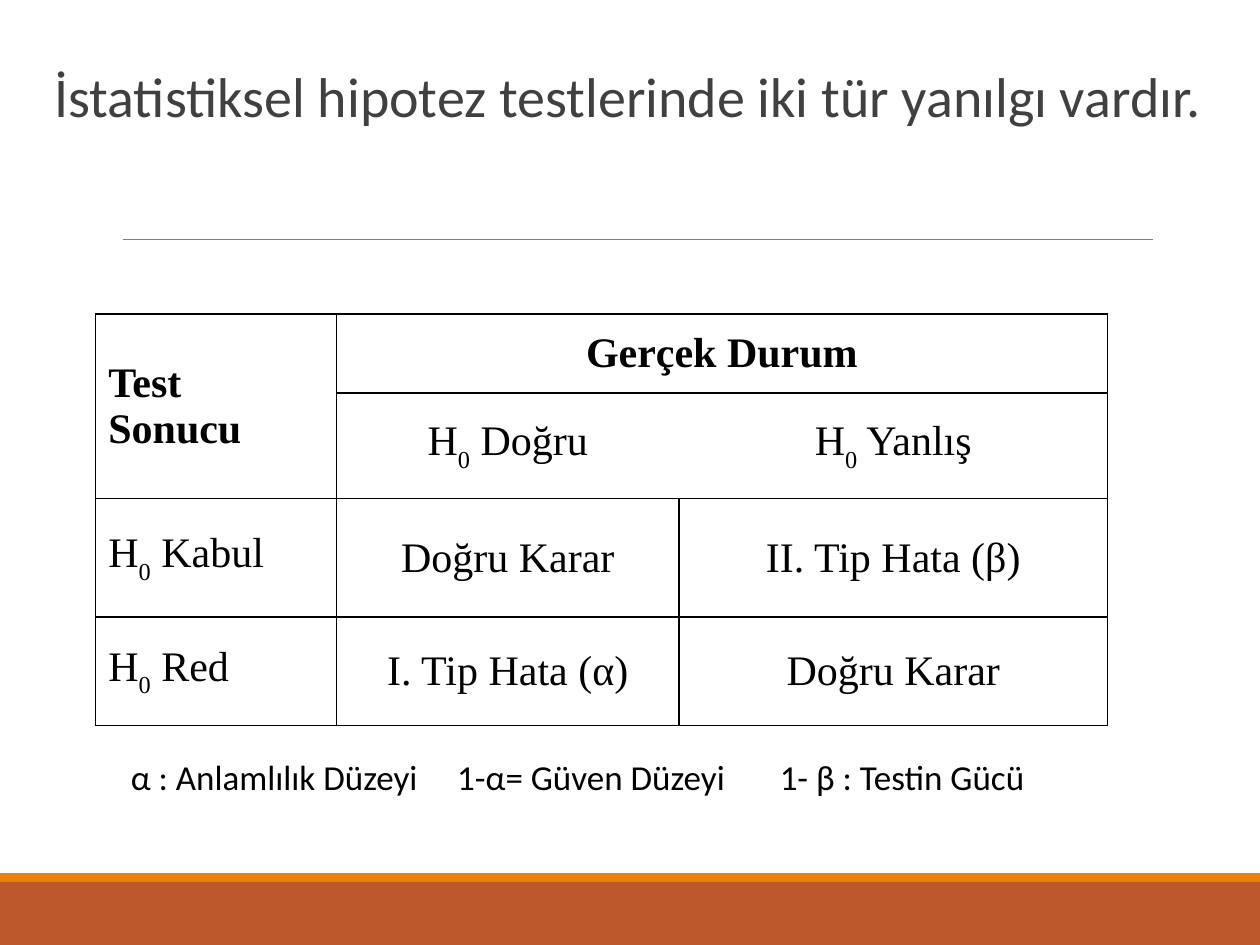
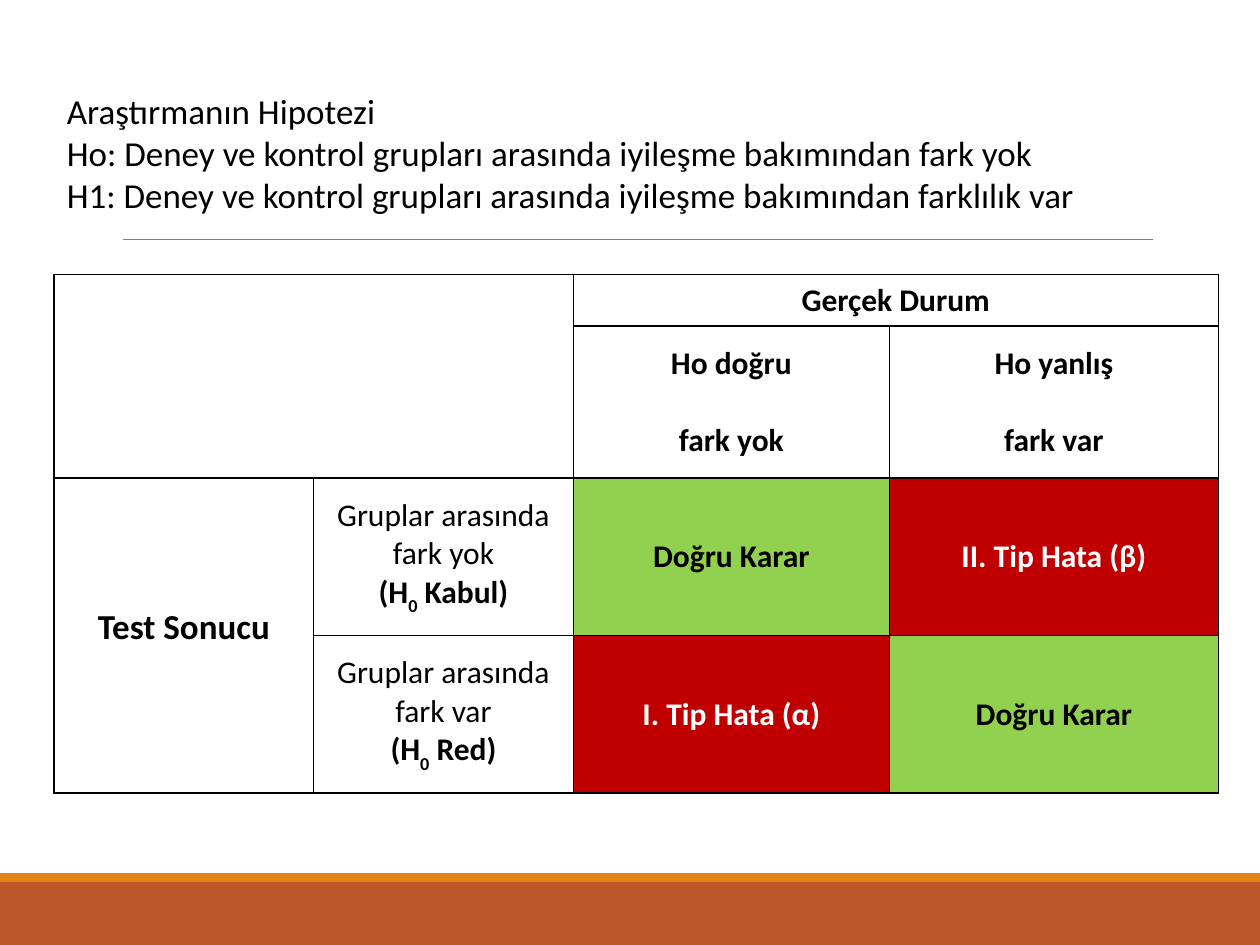
"""Build two slides on the two kinds of error in hypothesis testing."""
from dataclasses import dataclass

from lxml import etree
from pptx import Presentation
from pptx.dml.color import RGBColor
from pptx.enum.shapes import MSO_CONNECTOR, MSO_SHAPE
from pptx.enum.text import MSO_ANCHOR, MSO_AUTO_SIZE, PP_ALIGN
from pptx.oxml.ns import qn
from pptx.util import Inches, Pt

RECTANGLE = MSO_SHAPE.RECTANGLE
STRAIGHT = MSO_CONNECTOR.STRAIGHT
TOP, MIDDLE = MSO_ANCHOR.TOP, MSO_ANCHOR.MIDDLE
LEFT, CENTER, JUSTIFY = PP_ALIGN.LEFT, PP_ALIGN.CENTER, PP_ALIGN.JUSTIFY
NO_AUTOFIT = MSO_AUTO_SIZE.NONE


@dataclass(frozen=True)
class Theme:
    """Colours, fonts and type sizes of the deck."""
    band: RGBColor = RGBColor(0xBD, 0x58, 0x2C)
    stripe: RGBColor = RGBColor(0xE4, 0x83, 0x12)
    rule: RGBColor = RGBColor(0x80, 0x80, 0x80)
    heading: RGBColor = RGBColor(0x40, 0x40, 0x40)
    ink: RGBColor = RGBColor(0, 0, 0)
    white: RGBColor = RGBColor(0xFF, 0xFF, 0xFF)
    right: RGBColor = RGBColor(0x92, 0xD0, 0x50)
    wrong: RGBColor = RGBColor(0xC0, 0, 0)
    sans: str = "Calibri"
    serif: str = "Times New Roman"
    title_size: Pt = Pt(32)
    serif_size: Pt = Pt(24)
    text_size: Pt = Pt(20)
    cell_size: Pt = Pt(18)


THEME = Theme()
deck = Presentation()
deck.slide_width, deck.slide_height = Inches(10), Inches(7.5)
COL = deck.slide_width / 100
ROW = deck.slide_height / 75


def write_lines(frame, lines, font, size, color, align=LEFT):
    """Write paragraphs; a leading * means bold and ₀ becomes a subscript zero."""
    for index, line in enumerate(lines):
        para = frame.paragraphs[0] if index == 0 else frame.add_paragraph()
        para.alignment = align
        before, zero, after = line.lstrip("*").partition("₀")
        for text in filter(None, (before, zero, after)):
            span = para.add_run()
            span.text = text.replace("₀", "0")
            if text == "₀":
                span.font._element.set("baseline", "-30000")
        para.font.name, para.font.size = font, size
        para.font.bold = line.startswith("*")
        para.font.color.rgb = color


def add_grid(page, left, top, widths, heights, rows, merges, font, size):
    """Add a black-ruled table whose cell texts come from rows."""
    frame = page.shapes.add_table(
        len(heights), len(widths), int(left * COL), int(top * ROW),
        int(sum(widths) * COL), int(sum(heights) * ROW))
    table = frame.table
    table.first_row = table.horz_banding = False
    for column, width in zip(table.columns, widths):
        column.width = int(width * COL)
    for row, height in zip(table.rows, heights):
        row.height = int(height * ROW)
    for first, last in merges:
        table.cell(*first).merge(table.cell(*last))
    for r, texts in enumerate(rows):
        for c, text in enumerate(texts):
            cell = table.cell(r, c)
            cell.vertical_anchor = MIDDLE
            for side in ("lnL", "lnR", "lnT", "lnB"):
                line = etree.SubElement(cell._tc.get_or_add_tcPr(), qn(f"a:{side}"), w=str(Pt(1)))
                fill = etree.SubElement(line, qn("a:solidFill"))
                etree.SubElement(fill, qn("a:srgbClr"), val=str(THEME.ink))
            cell.fill.background()
            if text:
                align = JUSTIFY if font == THEME.serif and c == 0 else CENTER
                write_lines(cell.text_frame, text.split("\n"), font, size, THEME.ink, align)
    return table


headings = [
    (5, 8.7, 0, THEME.title_size, THEME.heading,
     ["İstatistiksel hipotez testlerinde iki tür yanılgı vardır."]),
    (6.6, 11.1, COL, THEME.text_size, THEME.ink,
     ["Araştırmanın Hipotezi",
      "Ho: Deney ve kontrol grupları arasında iyileşme bakımından fark yok",
      "H1: Deney ve kontrol grupları arasında iyileşme bakımından farklılık var"]),
]
for top, height, inset, size, color, lines in headings:
    page = deck.slides.add_slide(deck.slide_layouts[5])
    for band_top, band_height, fill in ((70, 5, THEME.band), (69.3, 0.7, THEME.stripe)):
        band = page.shapes.add_shape(
            RECTANGLE, 0, int(band_top * ROW), deck.slide_width, int(band_height * ROW))
        band.shadow.inherit = False
        band.fill.solid()
        band.fill.fore_color.rgb = fill
        band.line.fill.background()
    rule = page.shapes.add_connector(
        STRAIGHT, int(9.8 * COL), int(19 * ROW), int(91.5 * COL), int(19 * ROW))
    rule.line.color.rgb, rule.line.width = THEME.rule, Pt(0.5)
    etree.SubElement(rule._element.spPr, qn("a:effectLst"))

    title = page.shapes.title
    title.left, title.top = int(4.3 * COL), int(top * ROW)
    title.width, title.height = int(95.7 * COL), int(height * ROW)
    frame = title.text_frame
    frame.auto_size, frame.word_wrap, frame.vertical_anchor = NO_AUTOFIT, True, TOP
    frame.margin_left = frame.margin_right = int(inset)
    write_lines(frame, lines, THEME.sans, size, color)
    if len(lines) == 1:
        frame.paragraphs[0].line_spacing = 0.9

errors_page, example_page = deck.slides

errors = add_grid(
    errors_page, 7.6, 24.9, (19.1, 27.2, 34), (6.3, 8.3, 9.4, 8.6),
    [("*Test Sonucu", "*Gerçek Durum", ""),
     ("", "H₀ Doğru", "H₀ Yanlış"),
     ("H₀ Kabul", "Doğru Karar", "II. Tip Hata (β)"),
     ("H₀ Red", "I. Tip Hata (α)", "Doğru Karar")],
    [((0, 0), (1, 0)), ((0, 1), (0, 2))], THEME.serif, THEME.serif_size)
for column, side in ((1, "lnR"), (2, "lnL")):
    line = errors.cell(1, column)._tc.tcPr.find(qn(f"a:{side}"))
    line.remove(line[0])
    etree.SubElement(line, qn("a:noFill"))

caption = errors_page.shapes.add_textbox(
    int(9.4 * COL), int(59.4 * ROW), int(76.8 * COL), int(4.4 * ROW))
frame = caption.text_frame
frame.word_wrap, frame.vertical_anchor = True, MIDDLE
tabs = etree.SubElement(frame.paragraphs[0]._p.get_or_add_pPr(), qn("a:tabLst"))
for stop in (25.9, 51.5):
    etree.SubElement(tabs, qn("a:tab"), pos=str(int(stop * COL)), algn="l")
write_lines(frame, ["α : Anlamlılık Düzeyi\t1-α= Güven Düzeyi\t1- β : Testin Gücü"],
            THEME.sans, THEME.text_size, THEME.ink)

example = add_grid(
    example_page, 4.3, 21.8, (20.6, 20.6, 25.1, 26.1), (4, 12.1, 12.5, 12.5),
    [("", "", "*Gerçek Durum", ""),
     ("", "", "*Ho doğru\n*fark yok", "*Ho yanlış\n*fark var"),
     ("*Test Sonucu", "Gruplar arasında fark yok\n*(H₀ Kabul)",
      "*Doğru Karar", "*II. Tip Hata (β)"),
     ("", "Gruplar arasında fark var\n*(H₀ Red)", "*I. Tip Hata (α)", "*Doğru Karar")],
    [((0, 0), (1, 1)), ((0, 2), (0, 3)), ((2, 0), (3, 0))], THEME.sans, THEME.cell_size)
for column in (2, 3):
    example.cell(1, column).text_frame.paragraphs[1].space_before = Pt(22)
    for row in (2, 3):
        cell = example.cell(row, column)
        correct = row == column
        cell.fill.solid()
        cell.fill.fore_color.rgb = THEME.right if correct else THEME.wrong
        cell.text_frame.paragraphs[0].font.color.rgb = THEME.ink if correct else THEME.white
result = example.cell(2, 0)
result.margin_bottom = int(1.8 * ROW)
result.text_frame.paragraphs[0].font.size = THEME.text_size

deck.save("out.pptx")
